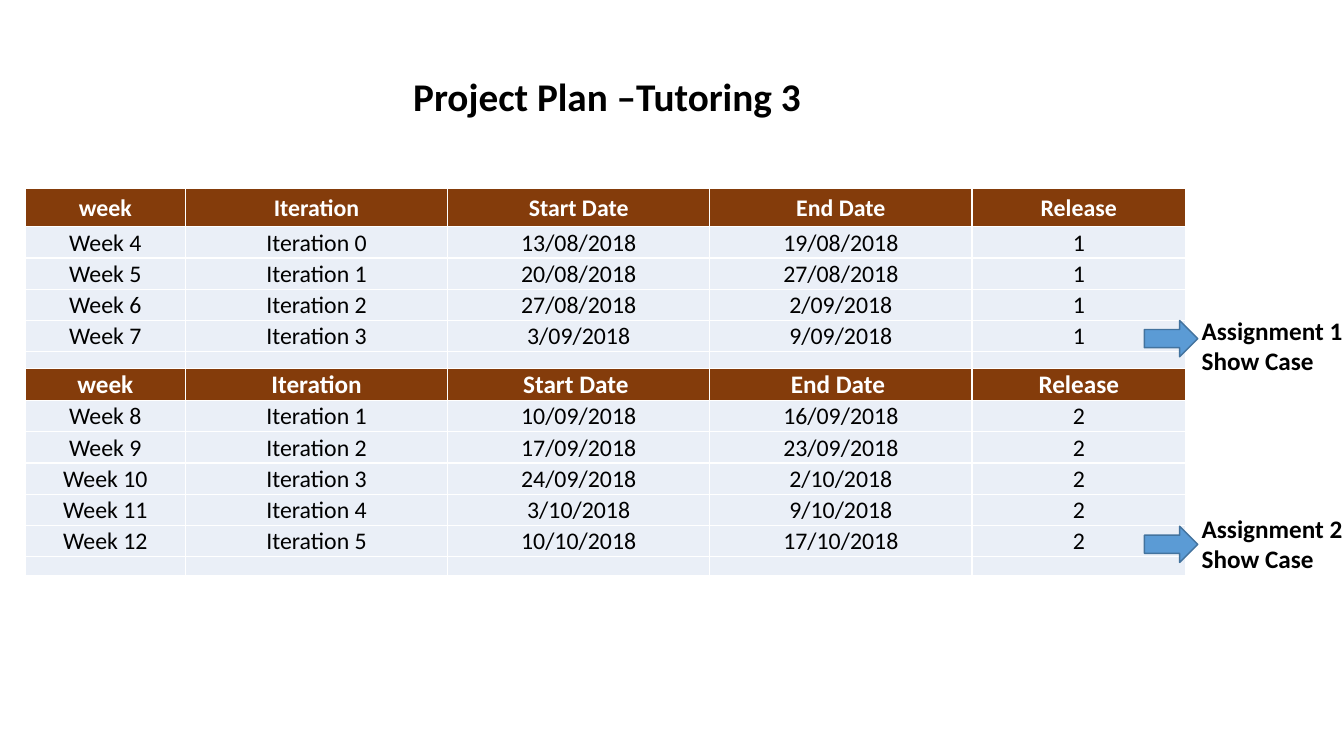
from dataclasses import dataclass

from lxml.etree import SubElement
from pptx import Presentation
from pptx.dml.color import RGBColor
from pptx.enum.shapes import MSO_SHAPE
from pptx.enum.text import MSO_ANCHOR, MSO_AUTO_SIZE, PP_ALIGN
from pptx.oxml.ns import qn
from pptx.util import Inches, Pt


@dataclass(frozen=True)
class Theme:
    font: str = "Calibri"
    text: str = "000000"
    white: str = "FFFFFF"
    header: str = "843C0B"
    body: str = "EAEFF7"
    arrow: str = "5B9BD5"
    arrow_line: str = "43739E"
    title_size: int = 28
    callout_size: int = 18
    table_size: int = 17
    second_header_size: int = 18
    spacer_size: int = 8


THEME = Theme()

COLUMN_WIDTHS = [1.59, 2.6, 2.6, 2.6, 2.12]
FIRST_HEADER_HEIGHT = 0.38
ROW_HEIGHT = 0.31
SPACER_HEIGHTS = [0.17, 0.19]

# The second header's date labels end in a no-break space.
RELEASES = [
    [
        ["week", "Iteration", "Start Date", "End Date", "Release"],
        ["Week 4", "Iteration 0", "13/08/2018", "19/08/2018", "1"],
        ["Week 5", "Iteration 1", "20/08/2018", "27/08/2018", "1"],
        ["Week 6", "Iteration 2", "27/08/2018", "2/09/2018", "1"],
        ["Week 7", "Iteration 3", "3/09/2018", "9/09/2018", "1"],
    ],
    [
        ["week", "Iteration", "Start Date ", "End Date ", "Release"],
        ["Week 8", "Iteration 1", "10/09/2018", "16/09/2018", "2"],
        ["Week 9", "Iteration 2", "17/09/2018", "23/09/2018", "2"],
        ["Week 10", "Iteration 3", "24/09/2018", "2/10/2018", "2"],
        ["Week 11", "Iteration 4", "3/10/2018", "9/10/2018", "2"],
        ["Week 12", "Iteration 5", "10/10/2018", "17/10/2018", "2"],
    ],
]


def write_text(text_frame, text, size, color=THEME.text, bold=False, align=None):
    """Write one paragraph per line of text."""
    for index, line in enumerate(text.split("\n")):
        paragraph = text_frame.add_paragraph() if index else text_frame.paragraphs[0]
        paragraph.alignment = align
        run = paragraph.add_run()
        run.text = line
        run.font.name = THEME.font
        run.font.size = Pt(size)
        run.font.bold = bold
        run.font.color.rgb = RGBColor.from_string(color)


def add_label(slide, left, top, width, height, text, size):
    box = slide.shapes.add_textbox(Inches(left), Inches(top), Inches(width), Inches(height))
    box.text_frame.word_wrap = False
    box.text_frame.auto_size = MSO_AUTO_SIZE.SHAPE_TO_FIT_TEXT
    write_text(box.text_frame, text, size, bold=True)


def style_cell(cell, fill):
    """Set white borders, the fill, narrow margins and middle anchoring."""
    properties = cell._tc.get_or_add_tcPr()
    for side in ("lnL", "lnR", "lnT", "lnB"):
        border = SubElement(properties, qn(f"a:{side}"), w=str(Pt(1)))
        solid = SubElement(border, qn("a:solidFill"))
        SubElement(solid, qn("a:srgbClr"), val=THEME.white)
    cell.fill.solid()
    cell.fill.fore_color.rgb = RGBColor.from_string(fill)
    cell.margin_left = cell.margin_right = cell.margin_top = Inches(0.01)
    cell.margin_bottom = 0
    cell.vertical_anchor = MSO_ANCHOR.MIDDLE


def fill_row(table, row_index, texts, height, fill=THEME.body, **text_format):
    table.rows[row_index].height = Inches(height)
    for column_index, text in enumerate(texts):
        cell = table.cell(row_index, column_index)
        style_cell(cell, fill)
        if text:
            write_text(cell.text_frame, text, align=PP_ALIGN.CENTER, **text_format)
        else:
            SubElement(cell.text_frame.paragraphs[0]._p, qn("a:endParaRPr"),
                       sz=str(THEME.spacer_size * 100))


def add_plan_table(slide, left, top, width, height):
    """Stack the releases in one table, each closed by a thin empty row."""
    row_count = sum(len(release) + 1 for release in RELEASES)
    table = slide.shapes.add_table(row_count, len(COLUMN_WIDTHS), Inches(left), Inches(top),
                                   Inches(width), Inches(height)).table
    table.horz_banding = False
    table.first_row = False
    for column, column_width in zip(table.columns, COLUMN_WIDTHS):
        column.width = Inches(column_width)

    row_index = 0
    header_formats = [(FIRST_HEADER_HEIGHT, THEME.table_size),
                      (ROW_HEIGHT, THEME.second_header_size)]
    for release, header_format, spacer in zip(RELEASES, header_formats, SPACER_HEIGHTS):
        header, *weeks = release
        header_height, header_size = header_format
        fill_row(table, row_index, header, header_height, fill=THEME.header,
                 size=header_size, color=THEME.white, bold=True)
        for row_index, week in enumerate(weeks, row_index + 1):
            fill_row(table, row_index, week, ROW_HEIGHT, size=THEME.table_size)
        fill_row(table, row_index + 1, [""] * len(COLUMN_WIDTHS), spacer)
        row_index += 2


def add_callout(slide, left, top, width, height, text, arrow_offset):
    """Add a label and the arrow that leads to it from the table."""
    add_label(slide, left, top, width, height, text, THEME.callout_size)
    arrow = slide.shapes.add_shape(MSO_SHAPE.RIGHT_ARROW, Inches(left - 0.47),
                                   Inches(top + arrow_offset), Inches(0.53), Inches(0.36))
    arrow.shadow.inherit = False
    arrow.fill.solid()
    arrow.fill.fore_color.rgb = RGBColor.from_string(THEME.arrow)
    arrow.line.color.rgb = RGBColor.from_string(THEME.arrow_line)
    arrow.line.width = Pt(1)


def main():
    presentation = Presentation()
    presentation.slide_width = Inches(13.33)
    presentation.slide_height = Inches(7.5)
    slide = presentation.slides.add_slide(presentation.slide_layouts[6])
    add_plan_table(slide, 0.25, 1.87, 11.5, 3.84)
    add_label(slide, 4, 0.67, 4.09, 0.57, "Project Plan –Tutoring 3", THEME.title_size)
    add_callout(slide, 11.82, 3.08, 1.61, 0.71, "Assignment 1\nShow Case", arrow_offset=0.1)
    add_callout(slide, 11.82, 5.04, 1.61, 0.71, "Assignment 2\nShow Case", arrow_offset=0.18)
    presentation.save("out.pptx")


if __name__ == "__main__":
    main()
